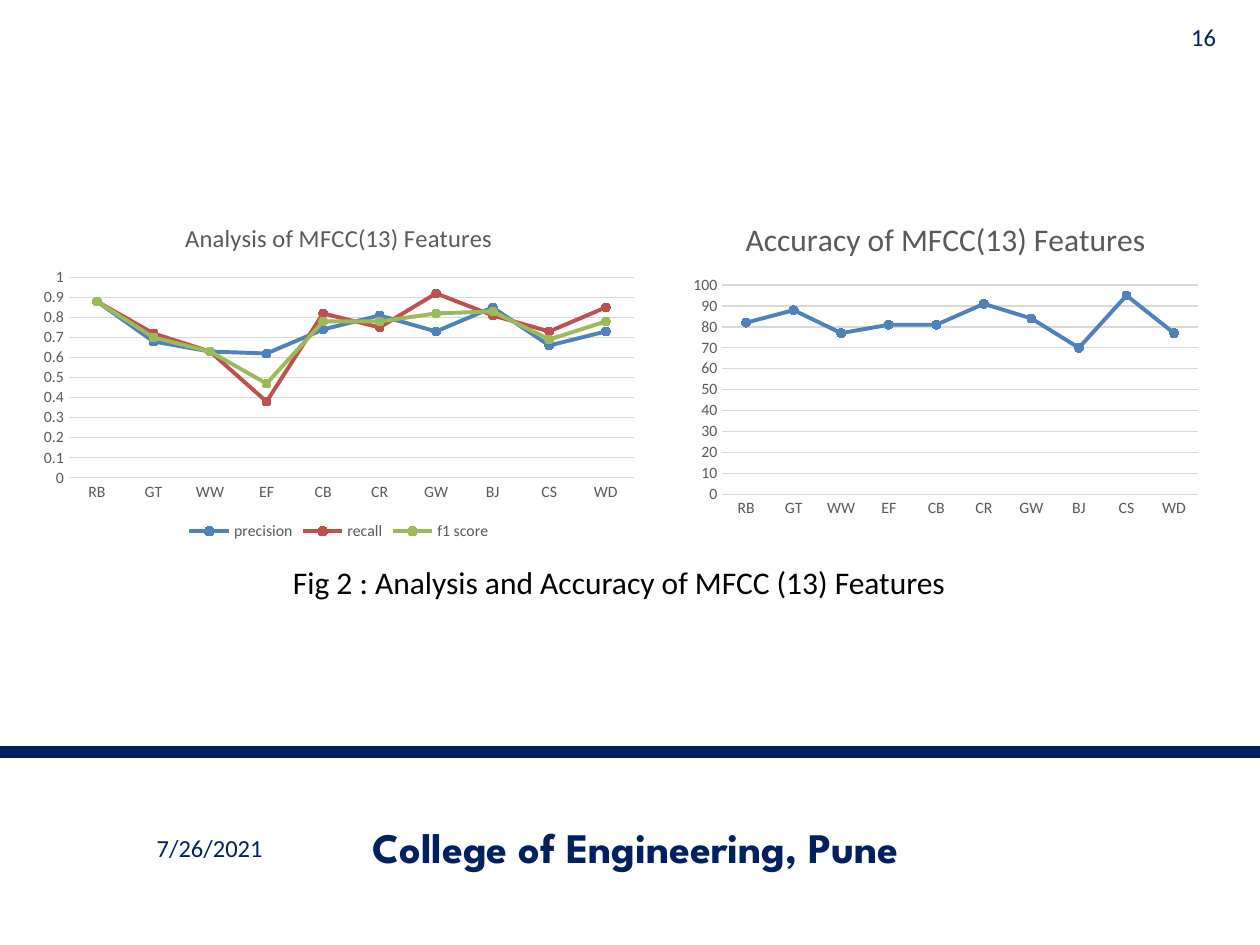
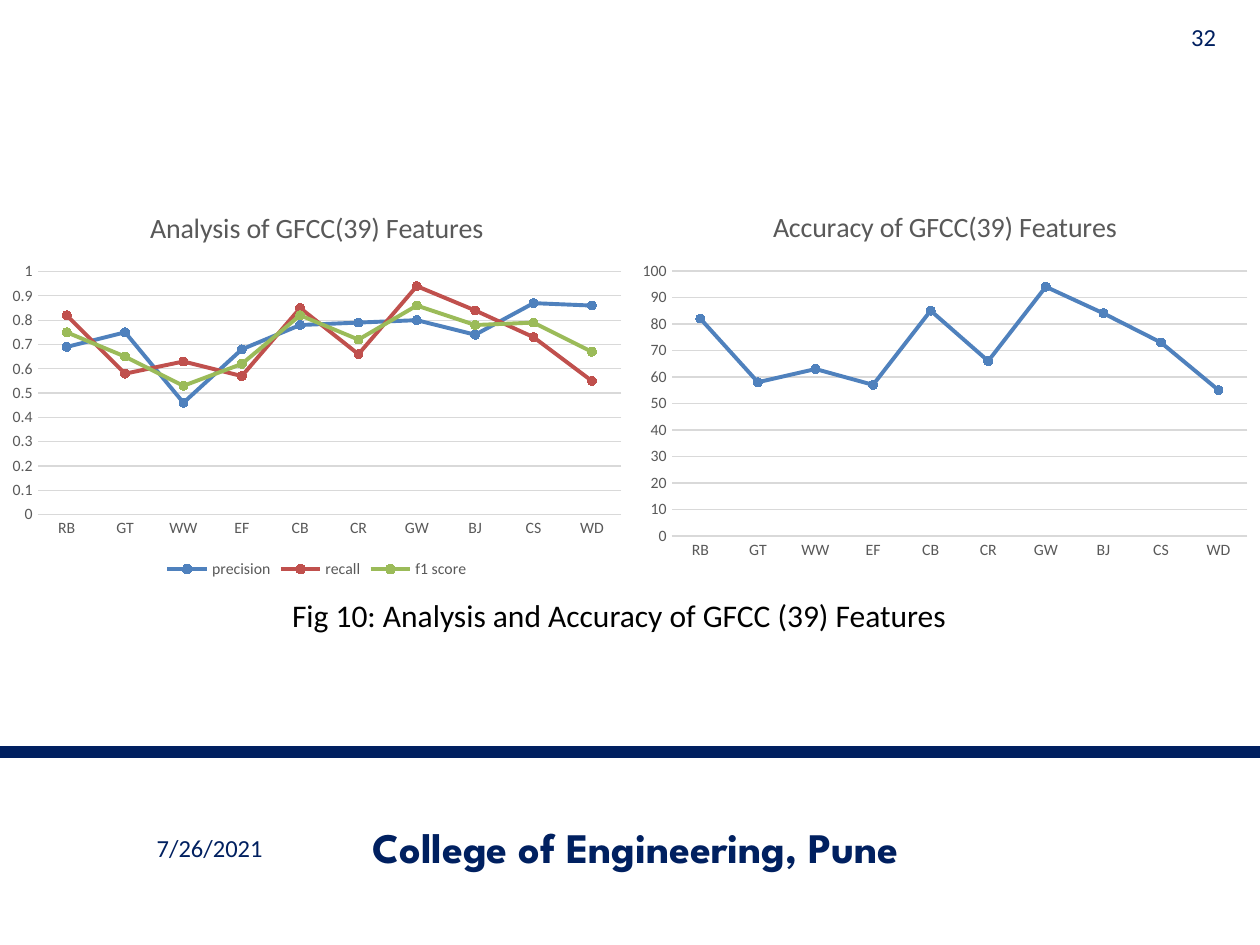
from lxml import etree
from pptx import Presentation
from pptx.chart.data import CategoryChartData
from pptx.dml.color import RGBColor
from pptx.enum.chart import XL_CHART_TYPE as ChartType
from pptx.enum.chart import XL_LEGEND_POSITION as LegendPosition
from pptx.enum.chart import XL_MARKER_STYLE as MarkerStyle
from pptx.enum.chart import XL_TICK_MARK as TickMark
from pptx.enum.shapes import MSO_CONNECTOR as Connector
from pptx.enum.text import MSO_ANCHOR as Anchor
from pptx.enum.text import PP_ALIGN as Align
from pptx.oxml.ns import qn
from pptx.util import Inches, Pt

# Shared style
NAVY = RGBColor(0x00, 0x20, 0x60)
BLACK = RGBColor(0x00, 0x00, 0x00)
GRAY = RGBColor(0x59, 0x59, 0x59)
LIGHT_GRAY = RGBColor(0xD9, 0xD9, 0xD9)
BLUE = RGBColor(0x4F, 0x81, 0xBD)
RED = RGBColor(0xC0, 0x50, 0x4D)
GREEN = RGBColor(0x9B, 0xBB, 0x59)
SERIES_COLORS = (BLUE, RED, GREEN)
BODY_FONT = "Calibri"
COLLEGE_FONT = "League Spartan"

# Chart data
SOUND_CLASSES = ("RB", "GT", "WW", "EF", "CB", "CR", "GW", "BJ", "CS", "WD")
MFCC_SCORES = {
    "precision": (0.88, 0.68, 0.63, 0.62, 0.74, 0.81, 0.73, 0.85, 0.66, 0.73),
    "recall": (0.88, 0.72, 0.63, 0.38, 0.82, 0.75, 0.92, 0.81, 0.73, 0.85),
    "f1 score": (0.88, 0.7, 0.63, 0.47, 0.78, 0.78, 0.82, 0.83, 0.69, 0.78),
}
MFCC_ACCURACY = {"Series 1": (82, 88, 77, 81, 81, 91, 84, 70, 95, 77)}
GFCC_SCORES = {
    "precision": (0.69, 0.75, 0.46, 0.68, 0.78, 0.79, 0.8, 0.74, 0.87, 0.86),
    "recall": (0.82, 0.58, 0.63, 0.57, 0.85, 0.66, 0.94, 0.84, 0.73, 0.55),
    "f1 score": (0.75, 0.65, 0.53, 0.62, 0.82, 0.72, 0.86, 0.78, 0.79, 0.67),
}
GFCC_ACCURACY = {"Series 1": (82, 58, 63, 57, 85, 66, 94, 84, 73, 55)}


def set_font(font, size, color, name=BODY_FONT, bold=False):
    font.name = name
    font.size = Pt(size)
    font.color.rgb = color
    font.bold = bold


def add_text(slide, box, text, size, color, align=Align.CENTER,
             anchor=Anchor.MIDDLE, name=BODY_FONT, bold=False):
    shape = slide.shapes.add_textbox(*map(Inches, box))
    frame = shape.text_frame
    frame.word_wrap = True
    frame.vertical_anchor = anchor
    paragraph = frame.paragraphs[0]
    paragraph.text = text
    paragraph.alignment = align
    set_font(paragraph.font, size, color, name, bold)


def add_footer_rule(slide):
    y = Inches(5.97)
    rule = slide.shapes.add_connector(Connector.STRAIGHT, 0, y, Inches(10), y)
    rule.line.color.rgb = NAVY
    rule.line.width = Pt(6.5)
    etree.SubElement(rule._element.spPr, qn("a:effectLst"))


def style_axes(chart, maximum):
    for axis in (chart.category_axis, chart.value_axis):
        axis.major_tick_mark = axis.minor_tick_mark = TickMark.NONE
        set_font(axis.tick_labels.font, 9, GRAY)
    category_line = chart.category_axis.format.line
    category_line.color.rgb = LIGHT_GRAY
    category_line.width = Pt(0.75)

    value_axis = chart.value_axis
    value_axis.minimum_scale = 0
    value_axis.maximum_scale = maximum
    value_axis.major_unit = maximum / 10
    value_axis.format.line.fill.background()
    grid_line = value_axis.major_gridlines.format.line
    grid_line.color.rgb = LIGHT_GRAY
    grid_line.width = Pt(0.75)


def style_series(series, color):
    series.smooth = False
    series.format.line.color.rgb = color
    series.format.line.width = Pt(2.25)
    marker = series.marker
    marker.style = MarkerStyle.CIRCLE
    marker.size = 5
    marker.format.fill.solid()
    marker.format.fill.fore_color.rgb = color
    marker.format.line.color.rgb = color


def add_line_chart(slide, box, title, title_size, values, maximum):
    data = CategoryChartData()
    data.categories = SOUND_CLASSES
    for name, points in values.items():
        data.add_series(name, points)
    chart = slide.shapes.add_chart(
        ChartType.LINE_MARKERS, *map(Inches, box), data).chart
    set_font(chart.font, 10, BLACK)

    chart.has_title = True
    chart.chart_title.include_in_layout = False
    paragraph = chart.chart_title.text_frame.paragraphs[0]
    paragraph.text = title
    set_font(paragraph.font, title_size, GRAY)

    chart.has_legend = len(values) > 1
    if chart.has_legend:
        chart.legend.position = LegendPosition.BOTTOM
        chart.legend.include_in_layout = False
        set_font(chart.legend.font, 9, GRAY)

    style_axes(chart, maximum)
    plot = chart.plots[0]
    plot.vary_by_categories = False
    for series, color in zip(plot.series, SERIES_COLORS):
        style_series(series, color)


def add_base_slide(presentation, number):
    """Add a slide with the rule, date, college name and page number."""
    slide = presentation.slides.add_slide(presentation.slide_layouts[6])
    add_footer_rule(slide)
    add_text(slide, (0.5, 6.53, 2.33, 0.4), "7/26/2021", 14, NAVY)
    add_text(slide, (2.42, 6.52, 5.25, 0.4), "College of Engineering, Pune",
             24, NAVY, name=COLLEGE_FONT, bold=True)
    add_text(slide, (9.25, 0.15, 0.5, 0.28), str(number), 14, NAVY,
             align=Align.RIGHT)
    return slide


def add_caption(slide, top, text):
    add_text(slide, (0.25, top, 9.33, 0.4), text, 18, BLACK, anchor=Anchor.TOP)


def main():
    presentation = Presentation()
    presentation.slide_width = Inches(10)
    presentation.slide_height = Inches(7.5)

    # MFCC results
    slide = add_base_slide(presentation, 16)
    add_line_chart(slide, (0.25, 1.61, 4.88, 2.72),
                   "Analysis of MFCC(13) Features", 14, MFCC_SCORES, 1)
    add_line_chart(slide, (5.42, 1.58, 4.17, 2.58),
                   "Accuracy of MFCC(13) Features", 18, MFCC_ACCURACY, 100)
    add_caption(slide, 4.42,
                "Fig 2 : Analysis and Accuracy of MFCC (13) Features")

    # GFCC results
    slide = add_base_slide(presentation, 32)
    add_line_chart(slide, (0, 1.5, 5.03, 3.13),
                   "Analysis of GFCC(39) Features", 16, GFCC_SCORES, 1)
    add_line_chart(slide, (5, 1.5, 5, 3),
                   "Accuracy of GFCC(39) Features", 16, GFCC_ACCURACY, 100)
    add_caption(slide, 4.68,
                "Fig 10: Analysis and Accuracy of GFCC (39) Features")

    presentation.save("out.pptx")


if __name__ == "__main__":
    main()
